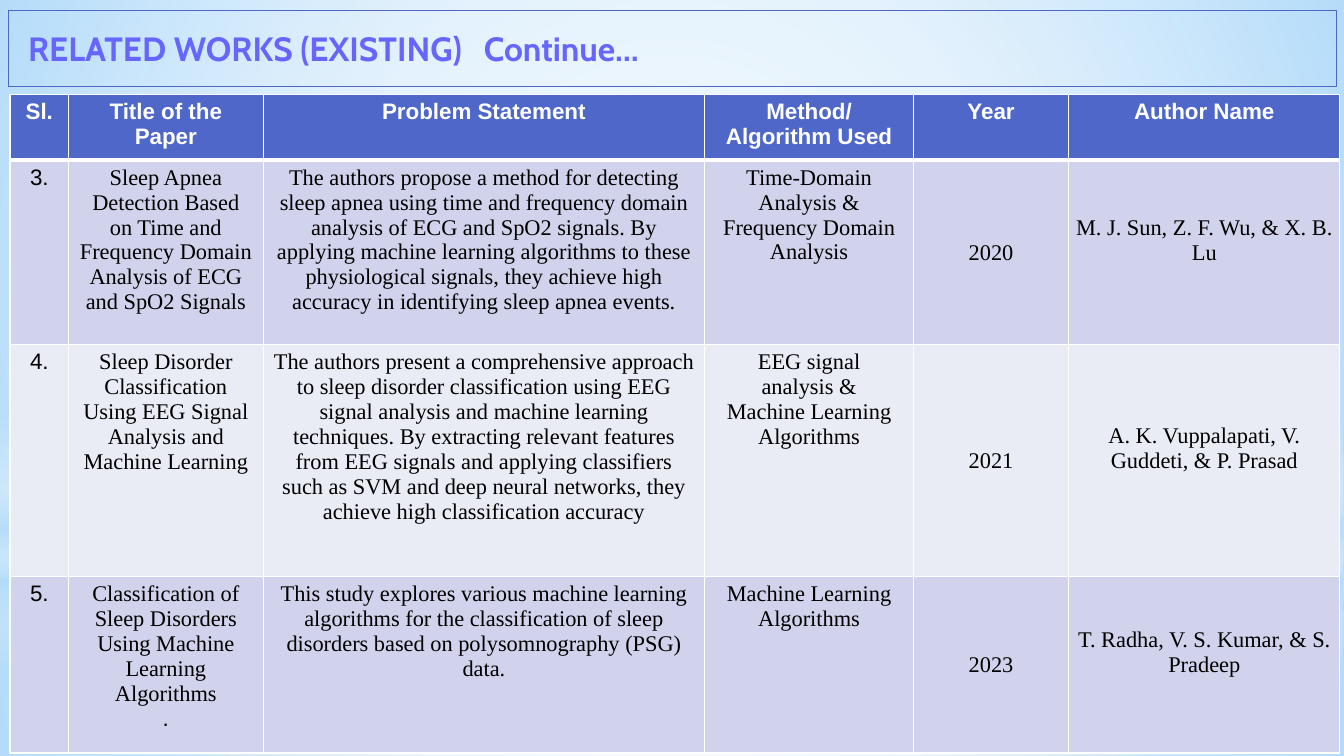
from pptx import Presentation
from pptx.dml.color import RGBColor
from pptx.enum.shapes import MSO_SHAPE
from pptx.enum.text import MSO_ANCHOR, PP_ALIGN
from pptx.oxml import parse_xml
from pptx.oxml.ns import nsdecls, qn
from pptx.util import Inches, Pt

RECT, OVAL = MSO_SHAPE.RECTANGLE, MSO_SHAPE.OVAL
MIDDLE, CENTER = MSO_ANCHOR.MIDDLE, PP_ALIGN.CENTER

COLORS = {
    "sky": "B4DCFA", "white": "FFFFFF", "black": "000000", "indigo": "4E67C8",
    "title": "6666FF", "band_dark": "D0D3EB", "band_light": "E9EBF5",
}
RADIAL = '<a:path path="circle"><a:fillToRect l="50000" t="50000" r="50000" b="50000"/></a:path>'
VERTICAL = '<a:lin ang="5400000" scaled="0"/>'


def rgb(name):
    return RGBColor.from_string(COLORS[name])


def set_border(cell, side, width):
    """Add a white border; call in the order L, R, T, B, before the fill."""
    cell._tc.get_or_add_tcPr().append(parse_xml(
        f'<a:ln{side} {nsdecls("a")} w="{Pt(width)}"><a:solidFill>'
        f'<a:srgbClr val="{COLORS["white"]}"/></a:solidFill></a:ln{side}>'))


prs = Presentation()
prs.slide_width, prs.slide_height = Inches(13.33), Inches(7.5)
s = prs.slides.add_slide(prs.slide_layouts[6])
s.background.fill.solid()
s.background.fill.fore_color.rgb = rgb("sky")

# Sky glow: shape, top, height, direction, stops (position %, colour, opacity %)
glows = [
    (RECT, 5.58, 1.92, RADIAL, [(0, "white", 91), (37, "white", 76), (100, "sky", 79)]),
    (RECT, 0, 5.58, RADIAL, [(0, "white", 89), (48, "white", 62), (100, "sky", 79)]),
    (RECT, 4.12, 2.5, VERTICAL, [(0, "white", 0), (29, "white", 30), (45, "sky", 40),
                                 (55, "white", 26), (65, "sky", 60), (100, "white", 0)]),
    (OVAL, 1.75, 5.58, RADIAL, [(0, "white", 100), (56, "white", 0)]),
]
for kind, top, height, direction, stops in glows:
    sp = s.shapes.add_shape(kind, 0, Inches(top), prs.slide_width, Inches(height))
    sp.shadow.inherit = False
    sp.line.fill.background()
    sp.fill.background()
    gs = "".join(
        f'<a:gs pos="{pos * 1000}"><a:srgbClr val="{COLORS[color]}">'
        f'<a:alpha val="{alpha * 1000}"/></a:srgbClr></a:gs>' for pos, color, alpha in stops)
    no_fill = sp._element.spPr.find(qn("a:noFill"))
    no_fill.getparent().replace(no_fill, parse_xml(
        f'<a:gradFill {nsdecls("a")} rotWithShape="1"><a:gsLst>{gs}</a:gsLst>{direction}</a:gradFill>'))

# Table of related works
header = ["Sl.", "Title of the Paper", "Problem Statement", "Method/ Algorithm Used",
          "Year", "Author Name"]
works = [
    ["3.", "Sleep Apnea Detection Based on Time and Frequency Domain Analysis of ECG and SpO2 Signals",
     "The authors propose a method for detecting sleep apnea using time and frequency domain "
     "analysis of ECG and SpO2 signals. By applying machine learning algorithms to these "
     "physiological signals, they achieve high accuracy in identifying sleep apnea events.",
     "Time-Domain Analysis & Frequency Domain Analysis", "2020", "M. J. Sun, Z. F. Wu, & X. B. Lu"],
    ["4.", "Sleep Disorder Classification Using EEG Signal Analysis and Machine Learning",
     "The authors present a comprehensive approach to sleep disorder classification using EEG "
     "signal analysis and machine learning techniques. By extracting relevant features from EEG "
     "signals and applying classifiers such as SVM and deep neural networks, they achieve high "
     "classification accuracy",
     "EEG signal\vanalysis &\vMachine Learning Algorithms", "2021",
     "A. K. Vuppalapati, V. Guddeti, & P. Prasad"],
    ["5.", "Classification of Sleep Disorders Using Machine Learning Algorithms\n.",
     "This study explores various machine learning algorithms for the classification of sleep "
     "disorders based on polysomnography (PSG) data.",
     "Machine Learning Algorithms", "2023", "T. Radha, V. S. Kumar, & S. Pradeep"],
]
col_widths = [0.58, 1.93, 4.38, 2.07, 1.54, 2.69]
row_heights = [0.65, 1.83, 2.3, 1.75]
row_fills = ["indigo", "band_dark", "band_light", "band_dark"]

table = s.shapes.add_table(4, 6, Inches(0.1), Inches(0.94), Inches(sum(col_widths)),
                           Inches(sum(row_heights))).table
for column, width in zip(table.columns, col_widths):
    column.width = Inches(width)
for i, texts in enumerate([header] + works):
    table.rows[i].height = Inches(row_heights[i])
    for j, text in enumerate(texts):
        cell = table.cell(i, j)
        for side, width in (("L", 1), ("R", 1), ("T", 3 if i == 1 else 1), ("B", 3 if i == 0 else 1)):
            set_border(cell, side, width)
        cell.fill.solid()
        cell.fill.fore_color.rgb = rgb(row_fills[i])
        if i > 0 and j >= 4:
            cell.vertical_anchor = MIDDLE
            cell.margin_left = cell.margin_right = cell.margin_top = Inches(0.01)
            cell.margin_bottom = Inches(0.25 if j == 5 else 0)
        cell.text_frame.text = text
        for p in cell.text_frame.paragraphs:
            p.alignment = CENTER
            p.font.size = Pt(16)
            p.font.bold = i == 0
            p.font.name = "Arial" if i == 0 or j == 0 or p.text == "." else "Times New Roman"
            p.font.color.rgb = rgb("white" if i == 0 else "black")

# Title bar
title = s.shapes.add_textbox(Inches(0.08), Inches(0.1), Inches(13.17), Inches(0.76))
title.line.color.rgb = rgb("indigo")
title.line.width = Pt(0.25)
tf = title.text_frame
tf.word_wrap = True
tf.vertical_anchor = MIDDLE
tf.margin_left = Inches(0.2)
p = tf.paragraphs[0]
p.text = "RELATED WORKS (EXISTING)\tContinue…"
p._p.get_or_add_pPr().append(parse_xml(
    f'<a:tabLst {nsdecls("a")}><a:tab pos="{Inches(4.52)}" algn="l"/></a:tabLst>'))
p.font.name = "Cabin"
p.font.size = Pt(24)
p.font.bold = True
p.font.color.rgb = rgb("title")

prs.save("out.pptx")
